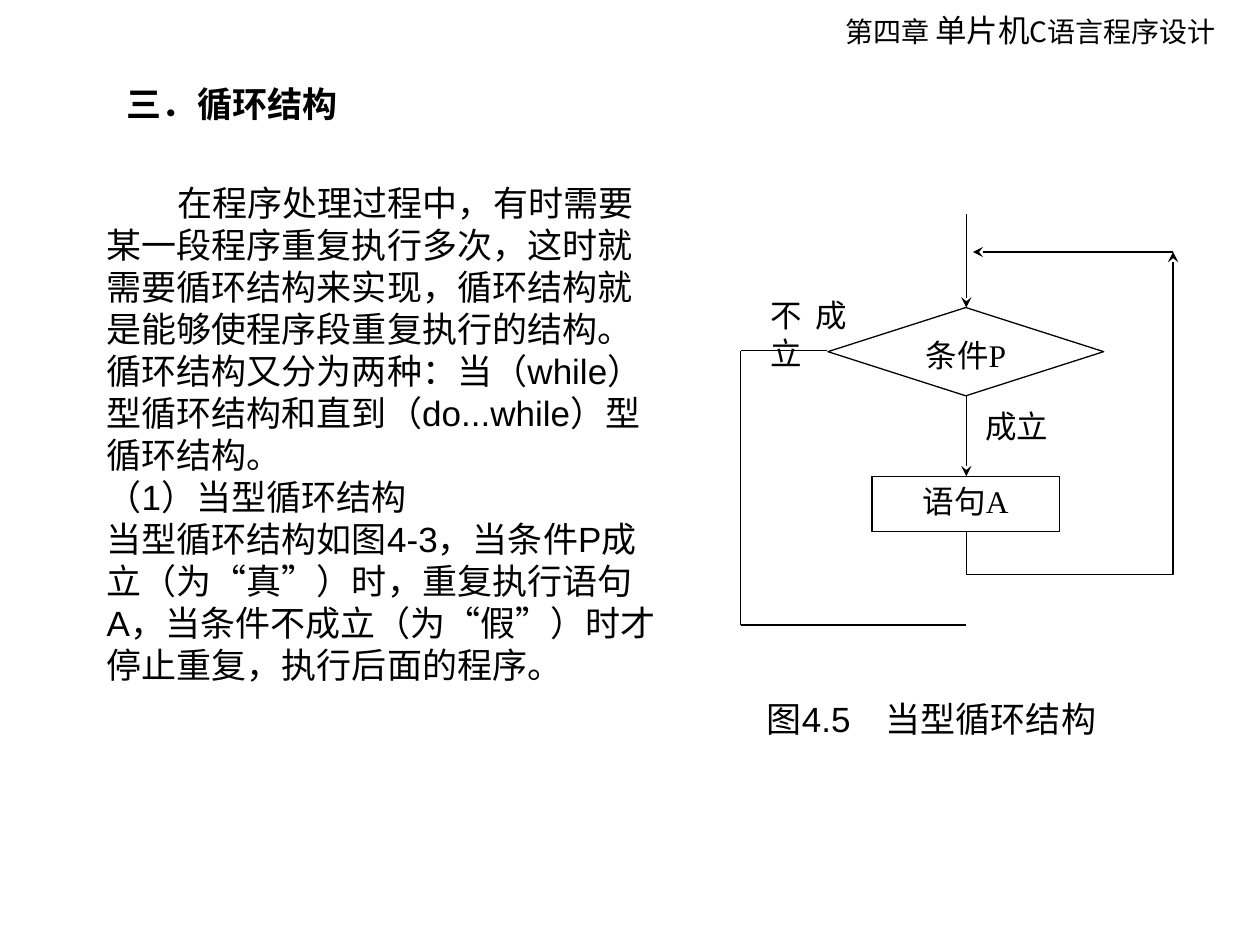
from dataclasses import dataclass

from lxml import etree
from pptx import Presentation
from pptx.dml.color import RGBColor
from pptx.enum.shapes import MSO_CONNECTOR, MSO_SHAPE
from pptx.enum.text import MSO_ANCHOR, MSO_AUTO_SIZE, PP_ALIGN
from pptx.oxml.ns import qn
from pptx.util import Cm, Pt

BLACK = RGBColor(0x00, 0x00, 0x00)
WHITE = RGBColor(0xFF, 0xFF, 0xFF)
STRAIGHT, ELBOW = MSO_CONNECTOR.STRAIGHT, MSO_CONNECTOR.ELBOW
DECISION, PROCESS = MSO_SHAPE.FLOWCHART_DECISION, MSO_SHAPE.FLOWCHART_PROCESS
TOP, MIDDLE = MSO_ANCHOR.TOP, MSO_ANCHOR.MIDDLE
LEFT, CENTER, JUSTIFY = PP_ALIGN.LEFT, PP_ALIGN.CENTER, PP_ALIGN.JUSTIFY
FIT, FIXED = MSO_AUTO_SIZE.SHAPE_TO_FIT_TEXT, MSO_AUTO_SIZE.NONE
SANS, SERIF, HEADER_FONT = "Arial", "Times New Roman", "Noto Sans CJK JP"
FIRST_LINE_INDENT = Cm(1.43)

# Flowchart guide lines, in centimetres
AXIS_X, EXIT_X, RETURN_X = 19.48, 14.93, 23.65
ENTRY_Y, JOIN_Y, EXIT_Y = 4.32, 5.08, 12.6
DECISION_TOP, DECISION_MIDDLE, DECISION_BOTTOM = 6.2, 7.07, 7.98
PROCESS_TOP, PROCESS_BOTTOM, RETURN_Y = 9.6, 10.72, 11.58


@dataclass
class TextItem:
    left: float
    top: float
    width: float
    height: float
    paragraphs: list[str]
    font: str = SANS
    size: int = 20
    bold: bool = False
    wrap: bool = False
    anchor: int = MIDDLE
    align: int = LEFT
    fit: int = FIT


@dataclass
class Node:
    kind: int
    left: float
    top: float
    width: float
    height: float
    label: str


@dataclass
class Line:
    x1: float
    y1: float
    x2: float
    y2: float
    arrow: bool = False


def style_paragraph(para, font: str, size: int, align: int, bold: bool = False) -> None:
    para.alignment = align
    para.font.name = font
    para.font.size = Pt(size)
    para.font.bold = bold
    para.font.color.rgb = BLACK


def add_text(page, item: TextItem):
    box = page.shapes.add_textbox(
        Cm(item.left), Cm(item.top), Cm(item.width), Cm(item.height))
    frame = box.text_frame
    frame.word_wrap = item.wrap
    frame.auto_size = item.fit
    frame.vertical_anchor = item.anchor
    for index, text in enumerate(item.paragraphs):
        para = frame.add_paragraph() if index else frame.paragraphs[0]
        if text:
            para.add_run().text = text
        style_paragraph(para, item.font, item.size, item.align, item.bold)
    return frame


def add_node(page, node: Node) -> None:
    shape = page.shapes.add_shape(
        node.kind, Cm(node.left), Cm(node.top), Cm(node.width), Cm(node.height))
    shape.shadow.inherit = False
    shape.fill.solid()
    shape.fill.fore_color.rgb = WHITE
    shape.line.color.rgb = BLACK
    shape.line.width = Pt(0.75)
    frame = shape.text_frame
    frame.word_wrap = True
    frame.vertical_anchor = TOP
    para = frame.paragraphs[0]
    para.add_run().text = node.label
    style_paragraph(para, SERIF, 18, CENTER)


def add_line(page, line: Line, kind: int = STRAIGHT):
    connector = page.shapes.add_connector(
        kind, Cm(line.x1), Cm(line.y1), Cm(line.x2), Cm(line.y2))
    connector.line.color.rgb = BLACK
    connector.line.width = Pt(0.75)
    properties = connector._element.spPr
    if line.arrow:
        outline = properties.find(qn("a:ln"))
        etree.SubElement(outline, qn("a:tailEnd"), type="stealth")
    etree.SubElement(properties, qn("a:effectLst"))
    return connector


def add_return_path(page) -> None:
    """Elbow from the process box down, right and up to the join line."""
    center_x, center_y = (AXIS_X + RETURN_X) / 2, (PROCESS_BOTTOM + JOIN_Y) / 2
    rise, run = PROCESS_BOTTOM - JOIN_Y, RETURN_X - AXIS_X
    unrotated = Line(center_x + rise / 2, center_y + run / 2,
                     center_x - rise / 2, center_y - run / 2, arrow=True)
    properties = add_line(page, unrotated, ELBOW)._element.spPr
    properties.find(qn("a:xfrm")).set("rot", "5400000")
    bend = round((PROCESS_BOTTOM - RETURN_Y) / rise * 100000)
    adjustments = properties.find(qn("a:prstGeom")).find(qn("a:avLst"))
    etree.SubElement(adjustments, qn("a:gd"), name="adj1", fmla=f"val {bend}")


HEADER = TextItem(16.79, 0.1, 8.26, 1.02, [""], font=HEADER_FONT, size=16)
HEADER_SPANS = [("第四章 ", 16), ("单片机", 18), ("C语言程序设计", 16)]
BODY = TextItem(1.9, 3.53, 11.81, 10.41, [
    "在程序处理过程中，有时需要某一段程序重复执行多次，这时就需要循环结构来实现，"
    "循环结构就是能够使程序段重复执行的结构。循环结构又分为两种：当（while）型循环结构"
    "和直到（do...while）型循环结构。",
    "（1）当型循环结构",
    "当型循环结构如图4-3，当条件P成立（为“真”）时，重复执行语句A，"
    "当条件不成立（为“假”）时才停止重复，执行后面的程序。",
], wrap=True)
TITLE = TextItem(2.31, 1.52, 4.75, 1.12, ["三．循环结构"], bold=True)
CAPTION = TextItem(15.21, 13.92, 7.95, 1.12, ["图4.5　当型循环结构"])
BRANCH_LABELS = [
    TextItem(left, top, 2.03, 1.12, [text], font=SERIF, size=18, wrap=True,
             anchor=TOP, align=JUSTIFY, fit=FIXED)
    for left, top, text in [(19.61, 8.08, "成立"), (15.29, 5.84, "不成立")]
]
NODES = [
    Node(DECISION, 16.69, DECISION_TOP, 5.56, 1.78, "条件P"),
    Node(PROCESS, 17.58, PROCESS_TOP, 3.78, 1.12, "语句A"),
]
LINES = [
    Line(AXIS_X, DECISION_BOTTOM, AXIS_X, PROCESS_TOP, arrow=True),
    Line(AXIS_X, ENTRY_Y, AXIS_X, DECISION_TOP, arrow=True),
    Line(RETURN_X, JOIN_Y, 19.61, JOIN_Y, arrow=True),
    Line(16.67, DECISION_MIDDLE, EXIT_X, DECISION_MIDDLE),
    Line(EXIT_X, DECISION_MIDDLE, EXIT_X, EXIT_Y),
    Line(EXIT_X, EXIT_Y, AXIS_X, EXIT_Y),
]


def main() -> None:
    deck = Presentation()
    deck.slide_width, deck.slide_height = Cm(25.4), Cm(19.05)
    page = deck.slides.add_slide(deck.slide_layouts[6])

    # Chapter header with mixed sizes
    header_para = add_text(page, HEADER).paragraphs[0]
    for text, size in HEADER_SPANS:
        span = header_para.add_run()
        span.text = text
        span.font.size = Pt(size)

    # Title and explanation
    body_frame = add_text(page, BODY)
    first_properties = body_frame.paragraphs[0]._p.get_or_add_pPr()
    first_properties.set("indent", str(FIRST_LINE_INDENT))
    add_text(page, TITLE)

    # Flowchart
    for node in NODES:
        add_node(page, node)
    for line in LINES:
        add_line(page, line)
    add_return_path(page)
    for label in BRANCH_LABELS:
        add_text(page, label)
    add_text(page, CAPTION)

    deck.save("out.pptx")


if __name__ == "__main__":
    main()
